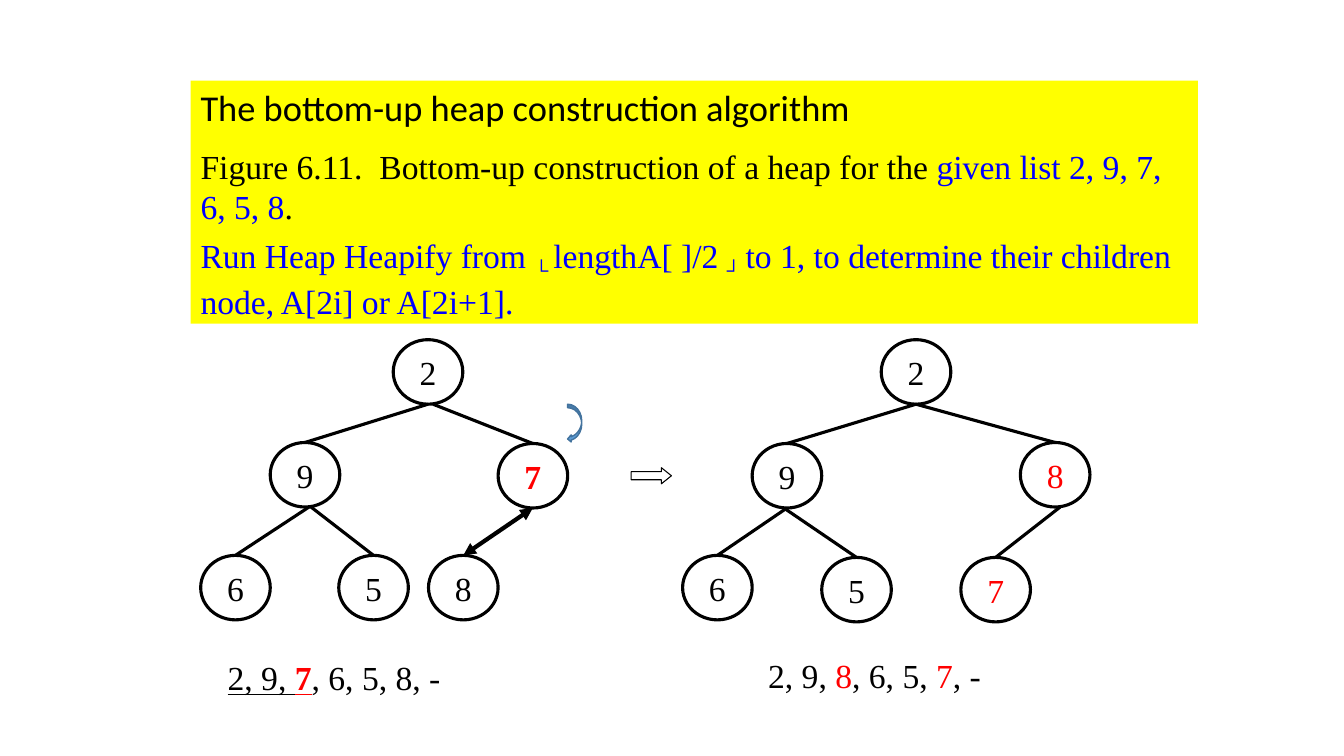
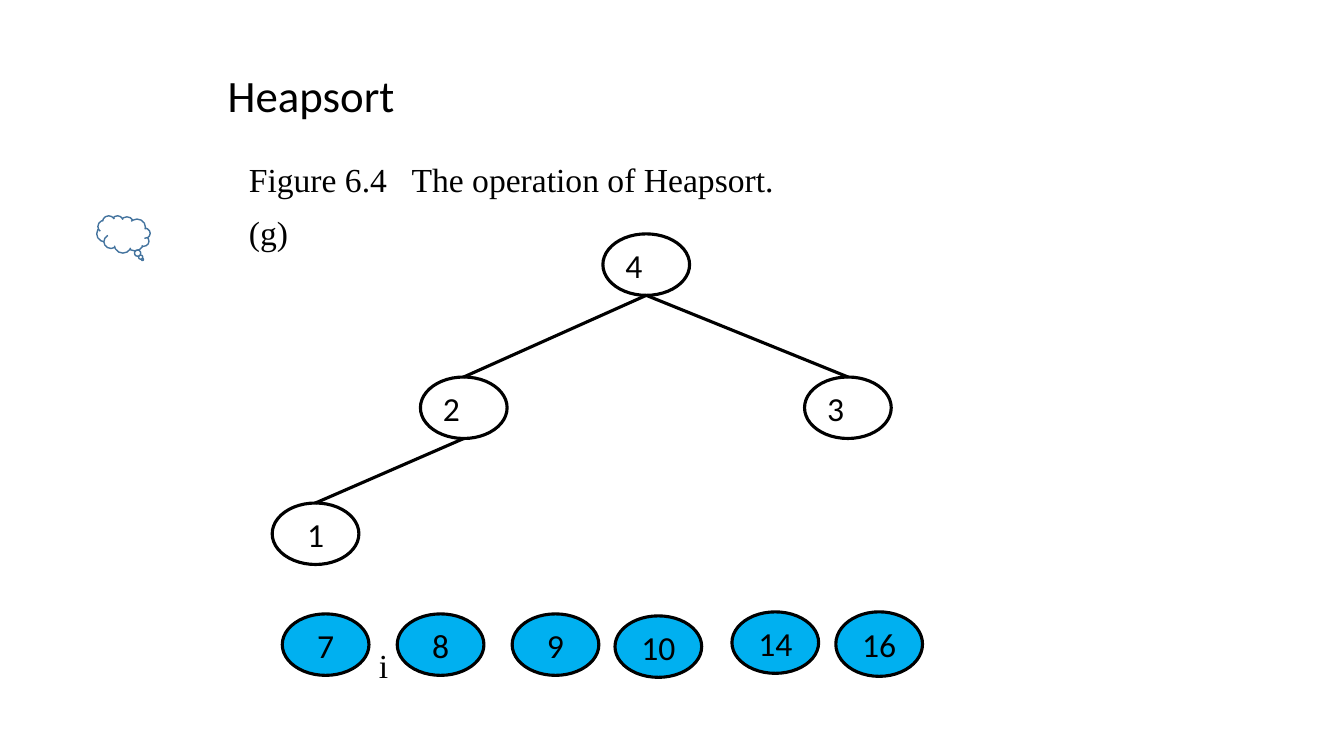
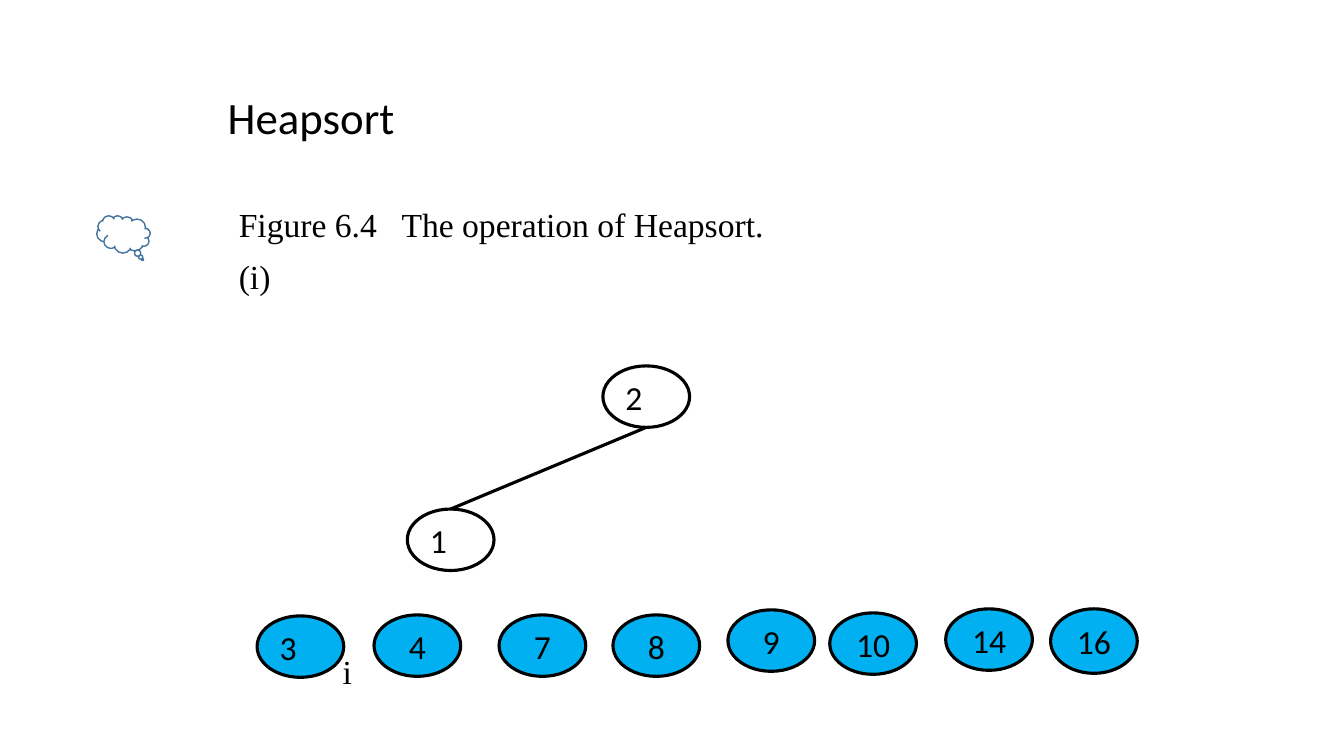
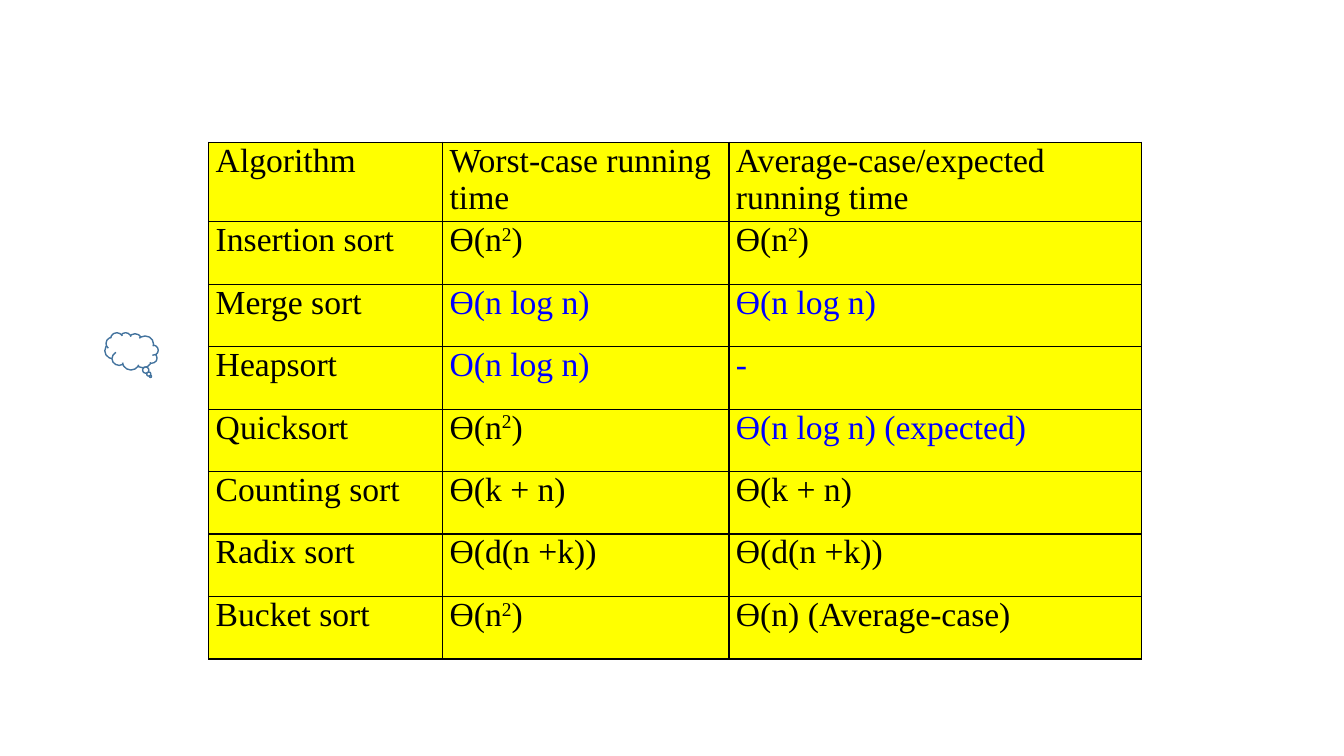
from lxml.etree import SubElement
from pptx import Presentation
from pptx.dml.color import RGBColor
from pptx.enum.shapes import MSO_CONNECTOR, MSO_SHAPE
from pptx.enum.text import MSO_ANCHOR, MSO_AUTO_SIZE, PP_ALIGN
from pptx.oxml.ns import qn
from pptx.util import Inches, Pt

BLACK, WHITE, RED, BLUE = "000000", "FFFFFF", "FF0000", "0000FF"
YELLOW, SORTED_BLUE, ARROW_BLUE, OUTLINE_BLUE = "FFFF00", "00B0F0", "5B9BD5", "43739E"
SERIF, SANS = "Times New Roman", "Calibri"


def draw(slide, kind, box, fill, line=None, width=1):
    """Add a preset shape with a plain fill and an optional outline."""
    shape = slide.shapes.add_shape(kind, *map(Inches, box))
    shape.shadow.inherit = False
    shape.fill.solid()
    shape.fill.fore_color.rgb = RGBColor.from_string(fill)
    if line:
        shape.line.color.rgb = RGBColor.from_string(line)
        shape.line.width = Pt(width)
    else:
        shape.line.fill.background()
    return shape


def write(frame, runs, name=SERIF, size=24, color=BLACK, align=PP_ALIGN.LEFT, more=False):
    """Write one paragraph; a run is a string or a (text, style) pair."""
    paragraph = frame.add_paragraph() if more else frame.paragraphs[0]
    paragraph.alignment = align
    paragraph.font.name = name
    paragraph.font.size = Pt(size)
    paragraph.font.color.rgb = RGBColor.from_string(color)
    for item in runs:
        text, style = item if isinstance(item, tuple) else (item, {})
        run = paragraph.add_run()
        run.text = text
        for key, value in style.items():
            if key == "color":
                run.font.color.rgb = RGBColor.from_string(value)
            elif key == "baseline":
                run.font._element.set("baseline", str(value))
            else:
                setattr(run.font, key, value)
    return paragraph


presentation = Presentation()
presentation.slide_width, presentation.slide_height = Inches(13.33), Inches(7.5)
construction, sort_g, sort_i, comparison = [
    presentation.slides.add_slide(presentation.slide_layouts[6]) for _ in range(4)]

# Yellow introduction
introduction = draw(construction, MSO_SHAPE.RECTANGLE, (1.89, 0.8, 9.99, 2.41), YELLOW)
frame = introduction.text_frame
frame.word_wrap = True
frame.vertical_anchor = MSO_ANCHOR.TOP
frame.auto_size = MSO_AUTO_SIZE.SHAPE_TO_FIT_TEXT
bracket = {"italic": True, "baseline": -25000}
paragraph = write(frame, ["The bottom-up heap construction algorithm"], SANS, 26)
paragraph.space_after = Pt(12)
paragraph = write(frame, [
    "Figure 6.11.  Bottom-up construction of a heap for the ",
    ("given list 2, 9, 7, 6, 5, 8", {"color": BLUE}), "."], more=True)
paragraph.space_after = Pt(6)
paragraph = write(frame, [
    "Run Heap Heapify from ", ("└ ", bracket), "lengthA[ ]/2 ", ("┘ ", bracket),
    "to 1, to determine their children node, A[2i] or A[2i+1]."], color=BLUE, more=True)
paragraph.space_after = Pt(6)

# Trees: nodes are (label, left, top), edges are (parent, child, shift of the start)
trees = [
    {"slide": construction, "size": (0.69, 0.64), "font": SERIF, "red": "7", "bold": True,
     "nodes": [("2", 3.9, 3.37), ("9", 2.68, 4.39), ("7", 4.94, 4.4),
               ("6", 1.99, 5.51), ("5", 3.36, 5.51), ("8", 4.25, 5.51)],
     "edges": [("2", "9", 0), ("9", "6", 0.04), ("9", "5", 0.06), ("2", "7", 0.05)],
     "swap": [("7", "8", 0)]},
    {"slide": construction, "size": (0.69, 0.64), "font": SERIF, "red": "87",
     "nodes": [("2", 8.74, 3.37), ("9", 7.46, 4.4), ("8", 10.12, 4.39),
               ("6", 6.77, 5.51), ("5", 8.15, 5.53), ("7", 9.53, 5.53)],
     "edges": [("9", "5", -0.03), ("2", "9", 0), ("2", "8", 0), ("9", "6", 0),
               ("8", "7", 0.05)]},
    {"slide": sort_g, "size": (0.86, 0.61), "font": SANS, "left": "423",
     "nodes": [("4", 5.98, 2.32), ("2", 4.17, 3.74), ("3", 7.98, 3.74), ("1", 2.7, 4.99)],
     "sorted": [("7", 2.8, 6.09), ("8", 3.94, 6.09), ("9", 5.08, 6.09),
                ("10", 6.1, 6.11), ("14", 7.26, 6.07), ("16", 8.29, 6.07)],
     "edges": [("4", "2", 0), ("4", "3", 0), ("2", "1", 0)]},
    {"slide": sort_i, "size": (0.86, 0.61), "font": SANS, "left": "213",
     "nodes": [("2", 5.98, 3.63), ("1", 4.04, 5.05)],
     "sorted": [("3", 2.55, 6.11), ("4", 3.71, 6.1), ("7", 4.95, 6.1), ("8", 6.08, 6.1),
                ("9", 7.22, 6.05), ("10", 8.23, 6.08), ("14", 9.38, 6.04),
                ("16", 10.42, 6.04)],
     "edges": [("2", "1", 0)]},
]
for tree in trees:
    width, height = tree["size"]
    places = {}
    sorted_nodes = tree.get("sorted", [])
    for node in tree["nodes"] + sorted_nodes:
        label, left, top = node
        places[label] = left + width / 2, top
        node_height = 0.64 if label == "16" else height
        oval = draw(tree["slide"], MSO_SHAPE.OVAL, (left, top, width, node_height),
                    SORTED_BLUE if node in sorted_nodes else WHITE, BLACK, 2.25)
        is_red = label in tree.get("red", "")
        paragraph = write(oval.text_frame, [label], tree["font"],
                          color=RED if is_red else BLACK,
                          align=PP_ALIGN.LEFT if label in tree.get("left", "")
                          else PP_ALIGN.CENTER)
        if is_red and tree.get("bold"):
            paragraph.font.bold = True
    swaps = tree.get("swap", [])
    for edge in tree["edges"] + swaps:
        parent, child, shift = edge
        (start_x, start_y), (end_x, end_y) = places[parent], places[child]
        connector = tree["slide"].shapes.add_connector(
            MSO_CONNECTOR.STRAIGHT, Inches(start_x + shift), Inches(start_y + height),
            Inches(end_x), Inches(end_y))
        connector.line.color.rgb = RGBColor.from_string(BLACK)
        connector.line.width = Pt(3 if edge in swaps else 2.25)
        if edge in swaps:
            for end in ("a:headEnd", "a:tailEnd"):
                SubElement(connector.line._get_or_add_ln(), qn(end), type="triangle")
        SubElement(connector._element.spPr, qn("a:effectLst"))

# Arrows between and beside the trees
step_arrow = draw(construction, MSO_SHAPE.RIGHT_ARROW, (6.26, 4.64, 0.4, 0.16),
                  WHITE, BLACK, 0.75)
step_arrow.adjustments[1] = 0.624
draw(construction, MSO_SHAPE.CURVED_LEFT_ARROW, (5.63, 4.01, 0.14, 0.38),
     ARROW_BLUE, OUTLINE_BLUE)

# Text boxes: slide, box, font, size, line spacing, paragraphs
figure = "Figure 6.4   The operation of Heapsort."
red = {"color": RED}
underlined = {"underline": True}
texts = [
    (construction, (2.16, 6.47, 2.43, 0.5), SERIF, 24, None,
     [[("2, 9, ", underlined), ("7", {**red, **underlined, "bold": True}), ", 6, 5, 8, -"]]),
    (construction, (7.52, 6.45, 2.61, 0.5), SERIF, 24, None,
     [["2, 9, ", ("8", red), ", 6, 5, ", ("7", red), ", -"]]),
    (sort_g, (2.37, 1.41, 6.46, 1.1), SERIF, 24, 1.3, [[figure], ["(g)"]]),
    (sort_g, (3.66, 6.35, 0.53, 0.5), SERIF, 24, None, [["i"]]),
    (sort_g, (2.16, 0.62, 1.87, 0.64), SANS, 32, None, [["Heapsort"]]),
    (sort_i, (2.27, 1.85, 5.95, 1.1), SERIF, 24, 1.3, [[figure], ["(i)"]]),
    (sort_i, (3.3, 6.41, 0.53, 0.5), SERIF, 24, None, [["i"]]),
    (sort_i, (2.16, 0.84, 1.87, 0.64), SANS, 32, None, [["Heapsort"]]),
]
for slide, box, name, size, spacing, paragraphs in texts:
    frame = slide.shapes.add_textbox(*map(Inches, box)).text_frame
    frame.word_wrap = name == SERIF
    frame.auto_size = MSO_AUTO_SIZE.SHAPE_TO_FIT_TEXT
    for index, runs in enumerate(paragraphs):
        paragraph = write(frame, runs, name, size, more=index > 0)
        if spacing:
            paragraph.line_spacing = spacing

# Comparison table
squared = ["Ɵ(n", ("2", {"baseline": 30000}), ")"]
rows = [
    (["Algorithm"], ["Worst-case running time"], ["Average-case/expected running time"]),
    (["Insertion sort"], squared, squared),
    (["Merge sort"], ["Ɵ(n log n)"], ["Ɵ(n log n)"]),
    (["Heapsort"], ["O(n log n)"], ["-"]),
    (["Quicksort"], squared, ["Ɵ(n log n) (expected)"]),
    (["Counting sort"], ["Ɵ(k + n)"], ["Ɵ(k + n)"]),
    (["Radix sort"], ["Ɵ(d(n +k))"], ["Ɵ(d(n +k))"]),
    (["Bucket sort"], squared, ["Ɵ(n) (Average-case)"]),
]
blue_cells = {(2, 1), (2, 2), (3, 1), (3, 2), (4, 2)}
table = comparison.shapes.add_table(
    len(rows), 3, Inches(2.07), Inches(1.41), Inches(9.25), Inches(5.13)).table
table.first_row = table.horz_banding = False
for column, width in zip(table.columns, (2.32, 2.84, 4.09)):
    column.width = Inches(width)
for row_index, row in enumerate(rows):
    table.rows[row_index].height = Inches(0.62 if row_index else 0.79)
    for column_index, runs in enumerate(row):
        cell = table.cell(row_index, column_index)
        cell.margin_left = cell.margin_right = Inches(0.07)
        cell.margin_top = cell.margin_bottom = 0
        for side in ("a:lnL", "a:lnR", "a:lnT", "a:lnB"):
            border = SubElement(cell._tc.get_or_add_tcPr(), qn(side), w=str(Pt(1)))
            SubElement(SubElement(border, qn("a:solidFill")), qn("a:srgbClr"), val=BLACK)
        cell.fill.solid()
        cell.fill.fore_color.rgb = RGBColor.from_string(YELLOW)
        write(cell.text_frame, runs,
              color=BLUE if (row_index, column_index) in blue_cells else BLACK)

# Thought clouds
for slide, left, top in ((sort_g, 0.96, 2.14), (sort_i, 0.96, 2.14), (comparison, 1.04, 3.3)):
    cloud = draw(slide, MSO_SHAPE.CLOUD_CALLOUT, (left, top, 0.53, 0.37), WHITE, OUTLINE_BLUE)
    cloud.adjustments[0], cloud.adjustments[1] = -0.355, 0.674
    cloud._element.spPr.find(qn("a:xfrm")).set("flipH", "1")

presentation.save("out.pptx")
